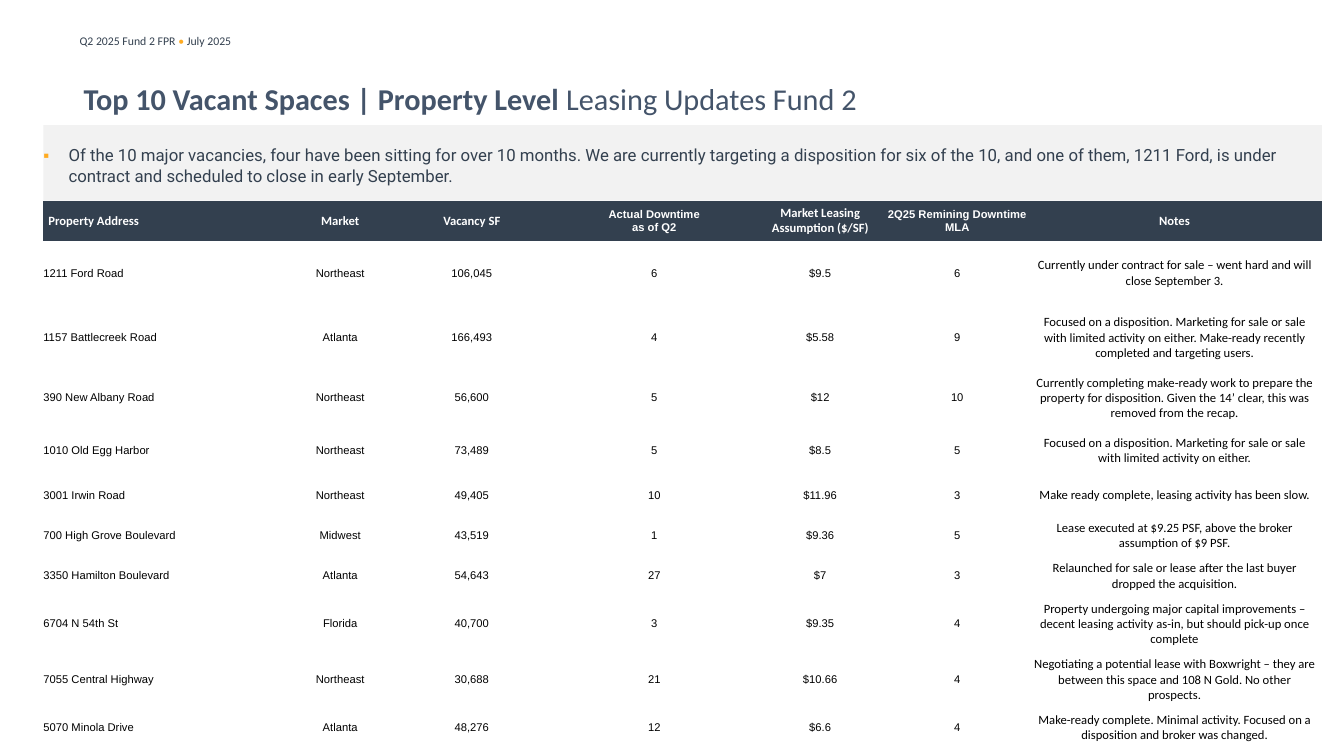
from dataclasses import astuple, dataclass

from lxml.etree import SubElement
from pptx import Presentation
from pptx.dml.color import RGBColor
from pptx.enum.text import MSO_ANCHOR, MSO_AUTO_SIZE, PP_ALIGN
from pptx.oxml.ns import qn
from pptx.table import _Cell
from pptx.text.text import TextFrame, _Paragraph
from pptx.util import Inches, Pt

NAVY = RGBColor(0x33, 0x40, 0x4F)
SLATE = RGBColor(0x44, 0x54, 0x6A)
ORANGE = RGBColor(0xFF, 0xAB, 0x21)
PALE_GRAY = RGBColor(0xF2, 0xF2, 0xF2)
WHITE = RGBColor(0xFF, 0xFF, 0xFF)
BLACK = RGBColor(0, 0, 0)

LEFT, WIDTH = 0.43, 12.68
NO_GRID_STYLE = "{2D5ABB26-0587-4C30-8999-92F81FD0307C}"
COLUMN_WIDTHS = [2.47, 0.95, 1.66, 1.96, 1.33, 1.39, 2.92]
ROW_HEIGHTS = [0.39, 0.64, 0.64, 0.5, 0.5, 0.39, 0.39, 0.39, 0.5, 0.39, 0.37]
ARIAL_HEADERS = (3, 5)
NOTES_COLUMN = 6


@dataclass
class Vacancy:
    address: str
    market: str
    vacancy_sf: str
    downtime: str
    assumption: str
    remaining: str
    notes: str


HEADER = Vacancy("Property Address", "Market", "Vacancy SF", "Actual Downtime\nas of Q2",
                 "Market Leasing Assumption ($/SF)", "2Q25 Remining Downtime MLA", "Notes")
VACANCIES = [
    Vacancy("1211 Ford Road", "Northeast", "106,045", "6", "$9.5", "6",
            "Currently under contract for sale – went hard and will close September 3."),
    Vacancy("1157 Battlecreek Road", "Atlanta", "166,493", "4", "$5.58", "9",
            "Focused on a disposition. Marketing for sale or sale with limited activity on "
            "either. Make-ready recently completed and targeting users."),
    Vacancy("390 New Albany Road", "Northeast", "56,600", "5", "$12", "10",
            "Currently completing make-ready work to prepare the property for disposition. "
            "Given the 14’ clear, this was removed from the recap."),
    Vacancy("1010 Old Egg Harbor", "Northeast", "73,489", "5", "$8.5", "5",
            "Focused on a disposition. Marketing for sale or sale with limited activity on either."),
    Vacancy("3001 Irwin Road", "Northeast", "49,405", "10", "$11.96", "3",
            "Make ready complete, leasing activity has been slow."),
    Vacancy("700 High Grove Boulevard", "Midwest", "43,519", "1", "$9.36", "5",
            "Lease executed at $9.25 PSF, above the broker assumption of $9 PSF."),
    Vacancy("3350 Hamilton Boulevard", "Atlanta", "54,643", "27", "$7", "3",
            "Relaunched for sale or lease after the last buyer dropped the acquisition."),
    Vacancy("6704 N 54th St", "Florida", "40,700", "3", "$9.35", "4",
            "Property undergoing major capital improvements – decent leasing activity as-in, "
            "but should pick-up once complete"),
    Vacancy("7055 Central Highway", "Northeast", "30,688", "21", "$10.66", "4",
            "Negotiating a potential lease with Boxwright – they are between this space and "
            "108 N Gold. No other prospects."),
    Vacancy("5070 Minola Drive", "Atlanta", "48,276", "12", "$6.6", "4",
            "Make-ready complete. Minimal activity. Focused on a disposition and broker was changed."),
]


def place(sp, left: float, top: float, width: float, height: float) -> None:
    sp.left, sp.top, sp.width, sp.height = map(Inches, (left, top, width, height))


def set_margins(target: TextFrame | _Cell, margin: float) -> None:
    target.margin_left = target.margin_right = Inches(margin)
    target.margin_top = target.margin_bottom = Inches(margin)


def add_run(p: _Paragraph, text: str, font: str, size: float, color: RGBColor,
            bold: bool = False) -> None:
    r = p.add_run()
    r.text = text
    r.font.name, r.font.size, r.font.bold = font, Pt(size), bold
    r.font.color.rgb = color


def add_square_bullet(p: _Paragraph, color: RGBColor) -> None:
    pPr = p._p.get_or_add_pPr()
    pPr.set("marL", str(Inches(0.25)))
    pPr.set("indent", str(-Inches(0.25)))
    SubElement(SubElement(pPr, qn("a:buClr")), qn("a:srgbClr"), val=str(color))
    SubElement(pPr, qn("a:buFont"), typeface="Arial")
    SubElement(pPr, qn("a:buChar"), char="▪")


def fill_cell(cell: _Cell, text: str, row: int, column: int) -> None:
    header = row == 0
    calibri = column == NOTES_COLUMN or (header and column not in ARIAL_HEADERS)
    set_margins(cell, 0.05 if calibri else 0)
    cell.vertical_anchor = MSO_ANCHOR.MIDDLE
    if header:
        cell.fill.solid()
        cell.fill.fore_color.rgb = NAVY
    else:
        cell.fill.background()
    tf = cell.text_frame
    for i, line in enumerate(text.split("\n")):
        p = tf.add_paragraph() if i else tf.paragraphs[0]
        p.alignment = PP_ALIGN.CENTER if column else PP_ALIGN.LEFT
        add_run(p, line, "Calibri" if calibri else "Arial", 9 if calibri else 8,
                WHITE if header else BLACK, header)


def add_running_header(s) -> None:
    sp = s.shapes.add_textbox(Inches(0.69), Inches(0.29), Inches(4.51), Inches(0.24))
    tf = sp.text_frame
    tf.word_wrap = True
    for text, color in (("Q2 2025 Fund 2 FPR ", NAVY), ("• ", ORANGE), ("July 2025", NAVY)):
        add_run(tf.paragraphs[0], text, "Calibri", 8.4, color)


def add_title(s) -> None:
    sp = s.shapes.title
    place(sp, 0.83, 0.6, 11.02, 0.75)
    tf = sp.text_frame
    tf.auto_size = MSO_AUTO_SIZE.NONE
    tf.vertical_anchor = MSO_ANCHOR.MIDDLE
    set_margins(tf, 0)
    p = tf.paragraphs[0]
    p.alignment = PP_ALIGN.LEFT
    add_run(p, "Top 10 Vacant Spaces | Property Level ", "Calibri", 21.6, SLATE, True)
    add_run(p, "Leasing Updates Fund 2", "Calibri", 21.6, SLATE)


def add_summary(s) -> None:
    sp = s.placeholders[1]
    place(sp, LEFT, 1.24, WIDTH, 0.75)
    sp.fill.solid()
    sp.fill.fore_color.rgb = PALE_GRAY
    tf = sp.text_frame
    tf.auto_size = MSO_AUTO_SIZE.NONE
    set_margins(tf, 0)
    tf.margin_top = Inches(0.2)
    p = tf.paragraphs[0]
    p.space_before = Pt(0)
    add_square_bullet(p, ORANGE)
    add_run(p, "Of the 10 major vacancies, four have been sitting for over 10 months. We are "
            "currently targeting a disposition for six of the 10, and one of them, 1211 Ford, "
            "is under contract and scheduled to close in early September.", "Roboto", 12, NAVY)


def add_vacancy_table(s) -> None:
    rows = [HEADER, *VACANCIES]
    frame = s.shapes.add_table(len(rows), len(COLUMN_WIDTHS), Inches(LEFT), Inches(1.99),
                               Inches(WIDTH), Inches(sum(ROW_HEIGHTS)))
    table = frame.table
    table.horz_banding = False
    table._tbl.tblPr.find(qn("a:tableStyleId")).text = NO_GRID_STYLE
    for column, width in zip(table.columns, COLUMN_WIDTHS):
        column.width = Inches(width)
    for i, (vacancy, height) in enumerate(zip(rows, ROW_HEIGHTS)):
        table.rows[i].height = Inches(height)
        for j, text in enumerate(astuple(vacancy)):
            fill_cell(table.cell(i, j), text, i, j)


def main() -> None:
    prs = Presentation()
    prs.slide_width, prs.slide_height = Inches(13.33), Inches(7.5)
    s = prs.slides.add_slide(prs.slide_layouts[1])
    add_running_header(s)
    add_title(s)
    add_summary(s)
    add_vacancy_table(s)
    prs.save("out.pptx")


if __name__ == "__main__":
    main()
